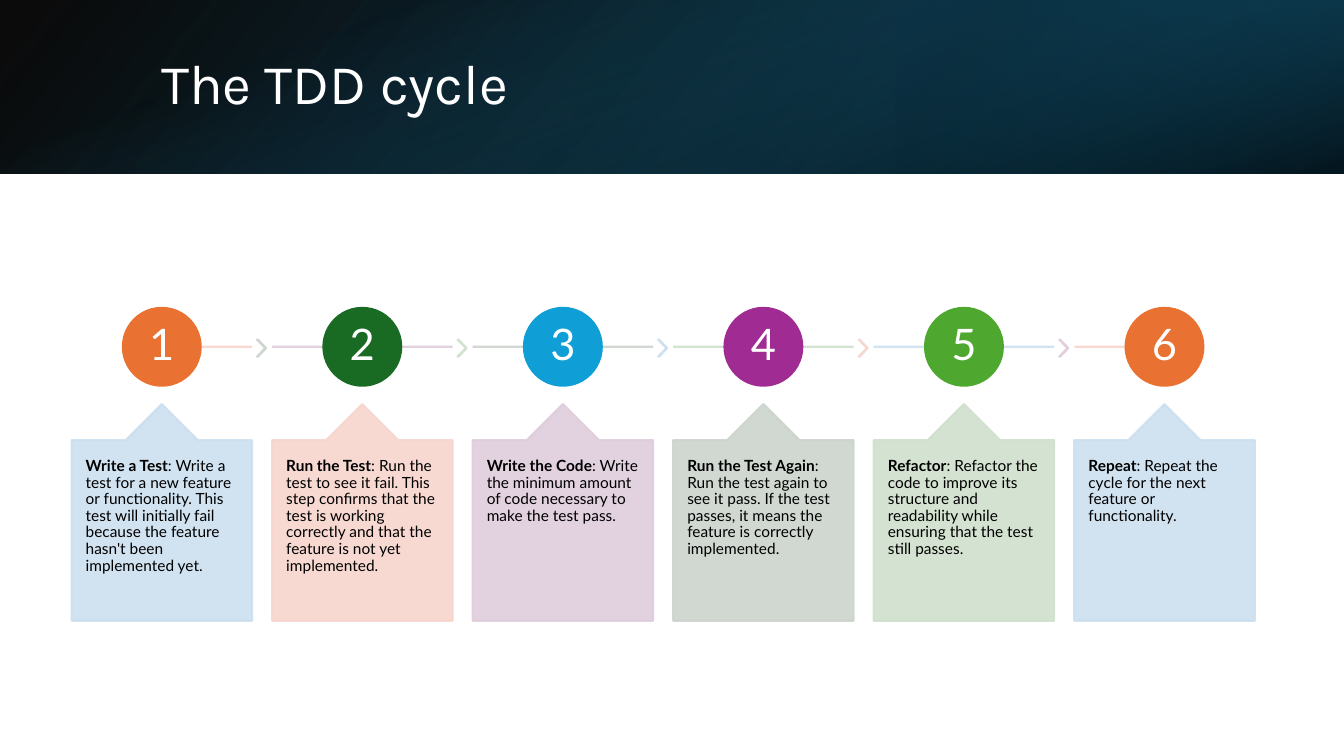
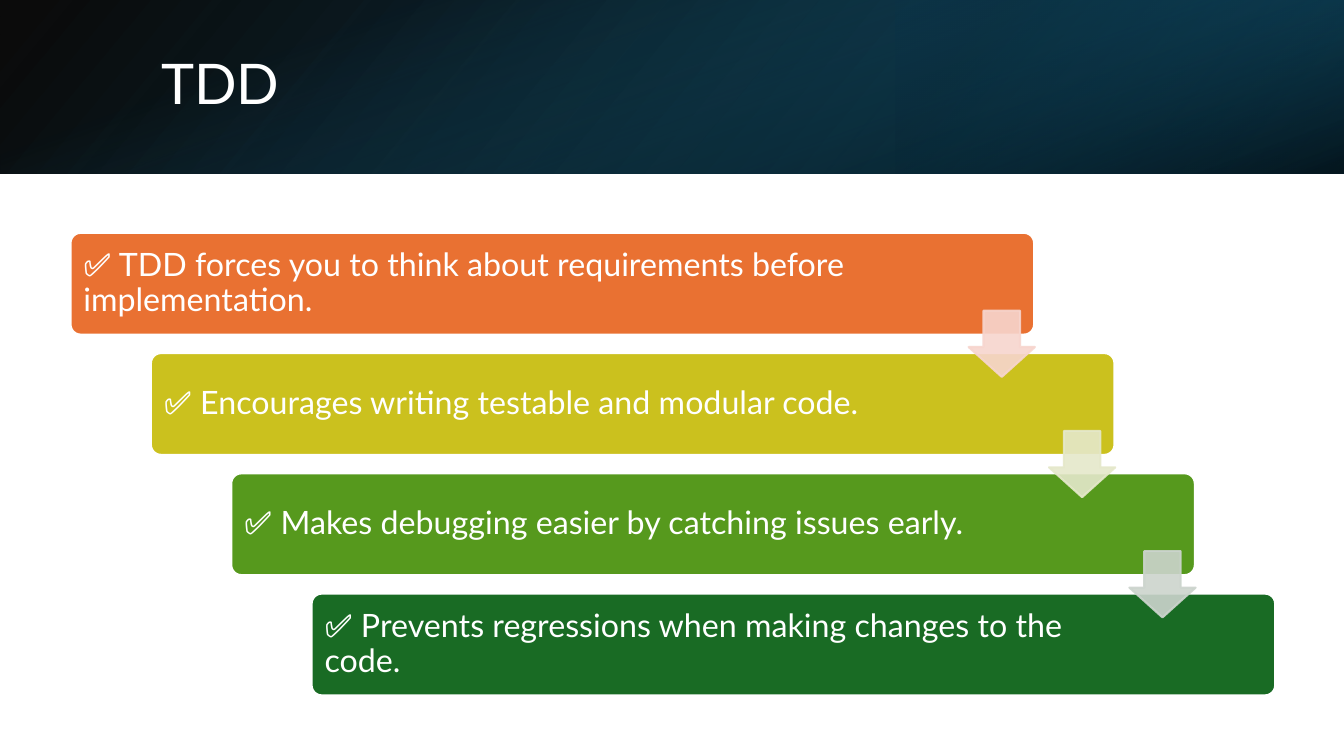
from lxml.etree import SubElement
from pptx import Presentation
from pptx.dml.color import RGBColor
from pptx.enum.shapes import MSO_CONNECTOR, MSO_SHAPE
from pptx.enum.text import MSO_ANCHOR, PP_ALIGN
from pptx.oxml import parse_xml
from pptx.oxml.ns import nsdecls, qn
from pptx.util import Pt

W, H, BAND_H = 960, 540, 124
WHITE, BLACK, ORANGE, GREEN = "FFFFFF", "000000", "E97132", "196B24"
PALE = ["CCDFEF", "F7D5CE", "DFCDDC", "CCD4CD", "D0E1CD"]

BAND_LAYERS = [
    dict(box=(0, 0, W, BAND_H), rot=0, flip=True, angle=140,
         stops=[(0, BLACK, 96), (100, "104862", 100)]),
    dict(box=(640, 0, 320, BAND_H), rot=180, flip=True, angle=320,
         stops=[(19, "0B3041", 68), (100, "156082", 79)]),
    dict(box=((W - BAND_H) / 2, (BAND_H - W) / 2, BAND_H, W), rot=90, flip=False, angle=340,
         stops=[(23, "156082", 0), (99, BLACK, 74)]),
]

STEPS = [
    ("Write a Test", ": Write a test for a new feature or functionality. This test will "
     "initially fail because the feature hasn't been implemented yet.", ORANGE),
    ("Run the Test", ": Run the test to see it fail. This step confirms that the test is "
     "working correctly and that the feature is not yet implemented.", GREEN),
    ("Write the Code", ": Write the minimum amount of code necessary to make the test pass.",
     "0F9ED5"),
    ("Run the Test Again", ": Run the test again to see it pass. If the test passes, it means "
     "the feature is correctly implemented.", "A02B93"),
    ("Refactor", ": Refactor the code to improve its structure and readability while ensuring "
     "that the test still passes.", "4EA72E"),
    ("Repeat", ": Repeat the cycle for the next feature or functionality.", ORANGE),
]

BENEFITS = [
    ("✅ TDD forces you to think about requirements before implementation.", ORANGE, "F7D5CE"),
    ("✅ Encourages writing testable and modular code.", "CBC11E", "E5E8CA"),
    ("✅ Makes debugging easier by catching issues early.", "56991D", "CCD4CD"),
    ("✅ Prevents regressions when making changes to the code.", GREEN, None),
]


def rgb(color):
    return RGBColor.from_string(color)


def fade(sp, alpha):
    for clr in sp._element.spPr.iter(qn("a:srgbClr")):
        SubElement(clr, qn("a:alpha"), val=str(alpha * 1000))


def add_shape(s, kind, box, fill, line=None, alpha=None, adj=()):
    sp = s.shapes.add_shape(kind, *map(Pt, box))
    sp.shadow.inherit = False
    sp.fill.solid()
    sp.fill.fore_color.rgb = rgb(fill)
    sp.line.color.rgb = rgb(line or fill)
    sp.line.width = Pt(1.5)
    for i, value in enumerate(adj):
        sp.adjustments[i] = value
    if alpha:
        fade(sp, alpha)
    return sp


def add_line(s, x1, x2, y, color):
    ln = s.shapes.add_connector(MSO_CONNECTOR.STRAIGHT, Pt(x1), Pt(y), Pt(x2), Pt(y))
    ln.line.color.rgb = rgb(color)
    ln.line.width = Pt(1.5)
    SubElement(ln._element.spPr, qn("a:effectLst"))
    fade(ln, 90)


def write(sp, runs, size, color, font="Lato", anchor=MSO_ANCHOR.MIDDLE,
          align=PP_ALIGN.LEFT, margins=(7.2, 3.6, 7.2, 3.6)):
    tf = sp.text_frame
    tf.word_wrap = True
    tf.vertical_anchor = anchor
    for side, value in zip(("left", "top", "right", "bottom"), margins):
        setattr(tf, "margin_" + side, Pt(value))
    p = tf.paragraphs[0]
    p.alignment = align
    p.line_spacing = 0.9
    for text, bold in runs:
        r = p.add_run()
        r.text = text
        for name, value in dict(name=font, size=Pt(size), bold=bold).items():
            setattr(r.font, name, value)
        r.font.color.rgb = rgb(color)


def add_band_layer(s, box, rot, flip, angle, stops):
    sp = s.shapes.add_shape(MSO_SHAPE.RECTANGLE, *map(Pt, box))
    sp.shadow.inherit = False
    sp.line.fill.background()
    sp.rotation = rot
    sp.fill.gradient()
    spPr = sp._element.spPr
    if flip:
        spPr.xfrm.set("flipH", "1")
    gs = "".join(
        f'<a:gs pos="{pos * 1000}"><a:srgbClr val="{color}">'
        f'<a:alpha val="{alpha * 1000}"/></a:srgbClr></a:gs>'
        for pos, color, alpha in stops)
    spPr.replace(spPr.find(qn("a:gradFill")), parse_xml(
        f'<a:gradFill {nsdecls("a")} rotWithShape="1"><a:gsLst>{gs}</a:gsLst>'
        f'<a:lin ang="{angle * 60000}" scaled="0"/></a:gradFill>'))


def new_slide(prs, title, font):
    s = prs.slides.add_slide(prs.slide_layouts[6])
    for layer in BAND_LAYERS:
        add_band_layer(s, **layer)
    tb = s.shapes.add_textbox(*map(Pt, (108, 27.4, 790.6, 69.1)))
    write(tb, [(title, False)], 40, WHITE, font)
    return s


def cycle_slide(prs):
    s = new_slide(prs, "The TDD cycle", "Karla")
    left, pitch, card_w, circle, line_y = 51.1, 143.25, 128.9, 55.6, 247.7
    last = len(STEPS) - 1
    for i, (head, body, color) in enumerate(STEPS):
        x = left + i * pitch
        mid = x + card_w / 2
        pale, line_color, chevron_color = (PALE[(i + k) % len(PALE)] for k in (0, 1, 3))
        add_line(s, x if i else mid, x + card_w if i < last else mid, line_y, line_color)
        if i < last:
            add_shape(s, MSO_SHAPE.CHEVRON, (x + 132.5, 242.6, 6.5, 12.2),
                      chevron_color, alpha=90, adj=[0.9])
        dot = add_shape(s, MSO_SHAPE.OVAL,
                        (mid - circle / 2, line_y - circle / 2, circle, circle), color)
        write(dot, [(str(i + 1), False)], 31, WHITE, align=PP_ALIGN.CENTER, margins=(2,) * 4)
        card = add_shape(s, MSO_SHAPE.UP_ARROW_CALLOUT, (x, 288.6, card_w, 154.8),
                         pale, alpha=90, adj=[0.5, 0.2, 0.2, 1])
        write(card, [(head, True), (body, False)], 11, BLACK, anchor=MSO_ANCHOR.TOP,
              margins=(10.1, 12.8, 10.1, 12.8))


def benefits_slide(prs):
    s = new_slide(prs, "TDD", "Lato")
    spots = [(50.4 + i * 57.4, 166.3 + i * 85.9) for i in range(len(BENEFITS))]
    for (x, y), (text, color, _) in zip(spots, BENEFITS):
        bar = add_shape(s, MSO_SHAPE.ROUNDED_RECTANGLE, (x, y, 688.3, 72.7),
                        color, WHITE, adj=[0.1])
        write(bar, [(text, False)], 23, WHITE, margins=(7.2, 7.2, 111.7, 7.2))
    for (x, y), (_, _, color) in zip(spots, BENEFITS):
        if color:
            add_shape(s, MSO_SHAPE.DOWN_ARROW, (x + 641.5, y + 55.6, 47.3, 47.3),
                      color, alpha=90, adj=[0.55, 0.45])


def main():
    prs = Presentation()
    prs.slide_width, prs.slide_height = Pt(W), Pt(H)
    cycle_slide(prs)
    benefits_slide(prs)
    prs.save("out.pptx")


if __name__ == "__main__":
    main()
